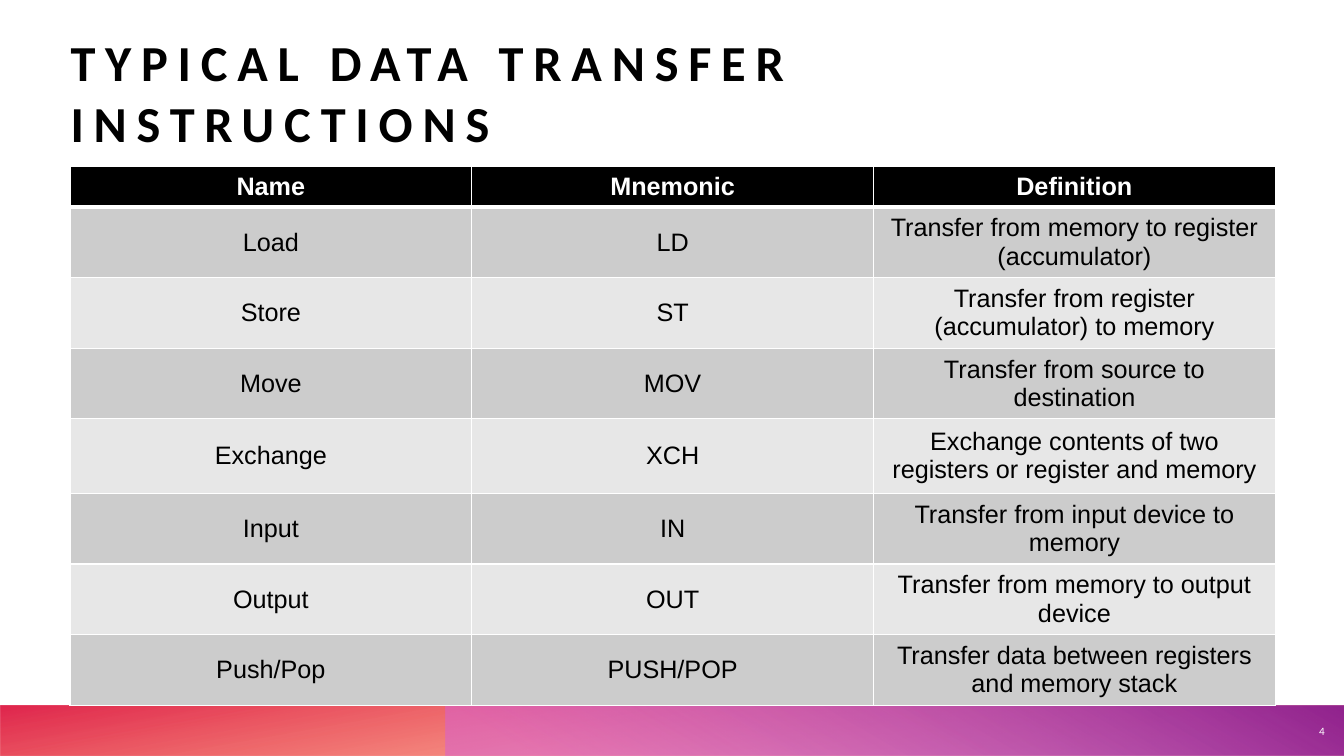
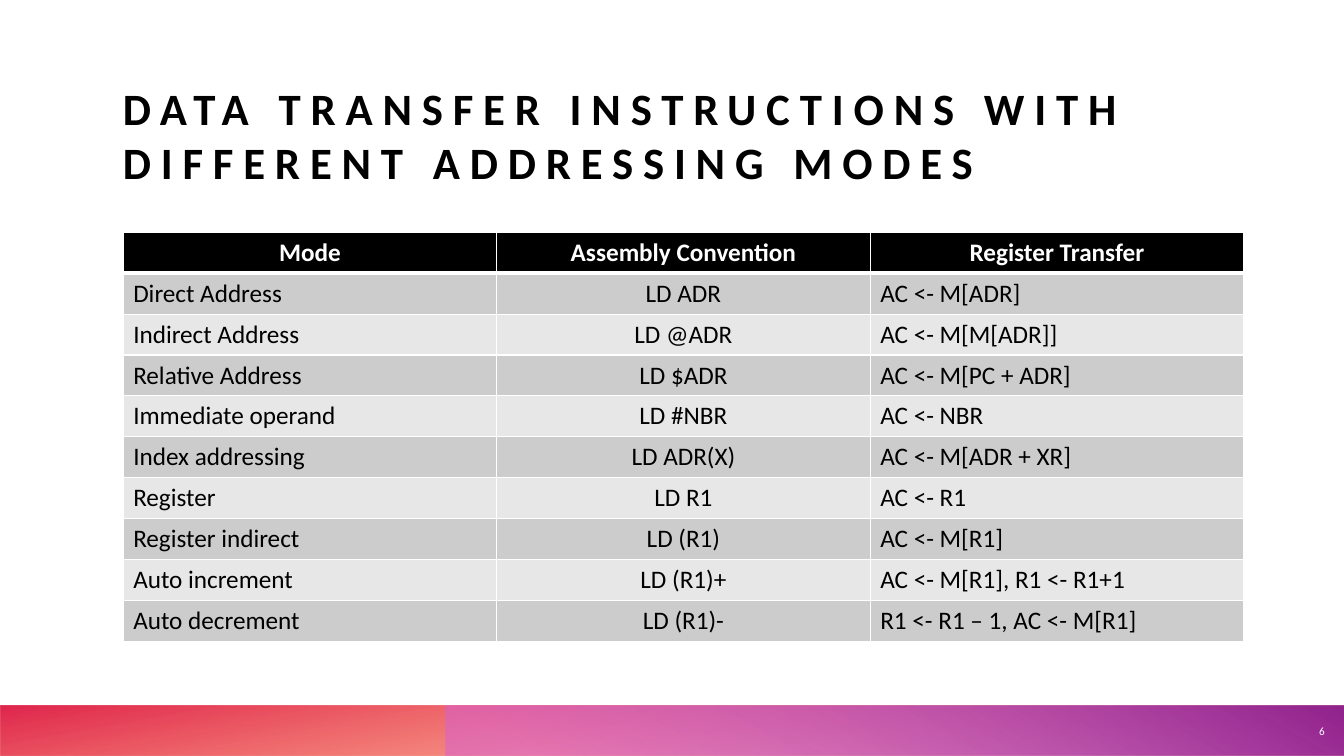
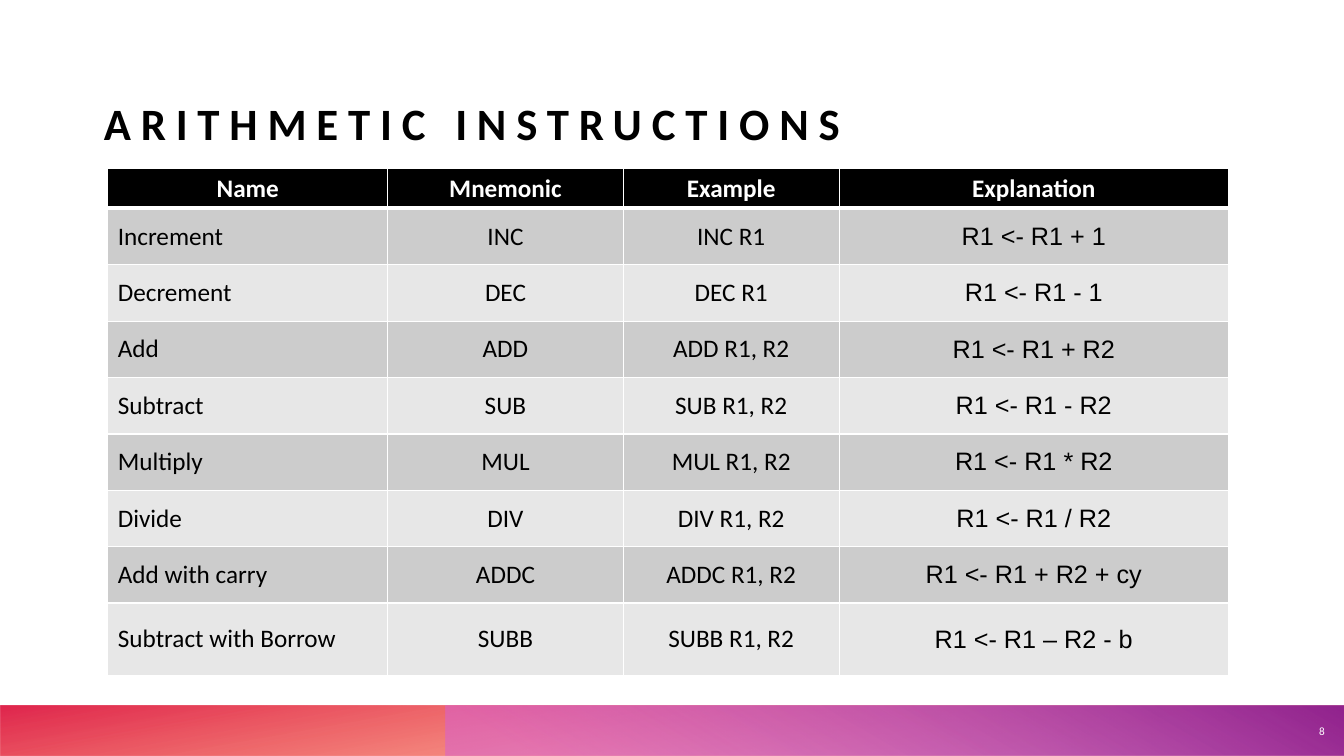
from dataclasses import dataclass

from lxml.etree import SubElement
from pptx import Presentation
from pptx.dml.color import RGBColor
from pptx.enum.shapes import MSO_SHAPE
from pptx.enum.text import MSO_ANCHOR, PP_ALIGN
from pptx.oxml.ns import qn
from pptx.util import Pt

WIDTH, HEIGHT = 960, 540
BAND_TOP, BAND_HEIGHT = 504, 36
BLACK, WHITE = "000000", "FFFFFF"
ROW_FILLS = ("CCCCCC", "E7E7E7")
HEADING_FONT, PLAIN_FONT = "Calibri", "Arial"


@dataclass
class TablePage:
    """Content and measures of one title-and-table slide."""
    number: int
    title: str
    title_box: tuple
    title_size: int
    table_corner: tuple
    columns: list
    heights: list
    rows: list
    header_font: str = HEADING_FONT
    left_columns: tuple = ()
    plain_columns: tuple = ()


def colour(code):
    """Turn a hex string into a colour."""
    return RGBColor.from_string(code)


def style_text(frame, size, code, font=HEADING_FONT, bold=False, align=PP_ALIGN.LEFT):
    """Format every paragraph and run of a text frame."""
    for para in frame.paragraphs:
        para.alignment = align
        for span in para.runs:
            span.font.size = Pt(size)
            span.font.name = font
            span.font.bold = bold
            span.font.color.rgb = colour(code)


def add_text(page, box, text, anchor):
    """Add a wrapping text box and return its frame."""
    frame = page.shapes.add_textbox(*map(Pt, box)).text_frame
    frame.word_wrap = True
    frame.vertical_anchor = anchor
    frame.text = text
    return frame


def add_band(page, box, angle, stops, rotation=0):
    """Add a mirrored gradient bar; stops are position, colour and opacity."""
    band = page.shapes.add_shape(MSO_SHAPE.RECTANGLE, *map(Pt, box))
    band.shadow.inherit = False
    band.line.fill.background()
    band.rotation = rotation
    band._element.spPr.find(qn("a:xfrm")).set("flipH", "1")
    band.fill.gradient()
    band.fill.gradient_angle = 360 - angle
    for stop, (position, code, _) in zip(band.fill.gradient_stops, stops):
        stop.position = position
        stop.color.rgb = colour(code)
    for node, (_, _, opacity) in zip(band._element.spPr.iter(qn("a:srgbClr")), stops):
        SubElement(node, qn("a:alpha"), val=str(opacity * 1000))


def add_footer(page, box, number):
    """Add the two gradient bars and the slide number."""
    left, top, width, height = box
    add_band(page, box, 100, [(0.14, "FE4A00", 28), (1, "DA002F", 85)], 180)
    add_band(page, (left + 318, top, width - 318, height), 240,
             [(0.09, "D861D4", 55), (0.99, "92248E", 100)])
    number_box = (left + width - 41.3, top + 0.7, 34.6, height - 0.7)
    frame = add_text(page, number_box, str(number), MSO_ANCHOR.MIDDLE)
    style_text(frame, 8, WHITE, align=PP_ALIGN.RIGHT)


def add_title(page, box, text, size):
    """Add a widely spaced bold title that sits on the bottom of its box."""
    frame = add_text(page, box, text, MSO_ANCHOR.BOTTOM)
    frame.margin_left = frame.margin_right = frame.margin_top = frame.margin_bottom = 0
    style_text(frame, size, BLACK, bold=True)
    frame.paragraphs[0].runs[0].font._element.set("spc", "700")


def add_borders(cell, top, bottom):
    """Draw white cell borders with the given top and bottom widths."""
    for side, width in (("L", 1), ("R", 1), ("T", top), ("B", bottom)):
        line = SubElement(cell._tc.get_or_add_tcPr(), qn(f"a:ln{side}"), w=str(Pt(width)))
        SubElement(SubElement(line, qn("a:solidFill")), qn("a:srgbClr"), val=WHITE)


def add_grid(page, content):
    """Add the table with a black header and alternating grey rows."""
    table = page.shapes.add_table(
        len(content.rows), len(content.columns), *map(Pt, content.table_corner),
        Pt(sum(content.columns)), Pt(sum(content.heights))).table
    for column, width in zip(table.columns, content.columns):
        column.width = Pt(width)
    for row, height in zip(table.rows, content.heights):
        row.height = Pt(height)
    for y, texts in enumerate(content.rows):
        header = y == 0
        for x, text in enumerate(texts):
            cell = table.cell(y, x)
            add_borders(cell, 3 if y == 1 else 1, 3 if header else 1)
            cell.fill.solid()
            cell.fill.fore_color.rgb = colour(BLACK if header else ROW_FILLS[(y - 1) % 2])
            cell.vertical_anchor = MSO_ANCHOR.MIDDLE
            cell.text_frame.text = text
            font = PLAIN_FONT if x in content.plain_columns else HEADING_FONT
            left = x in content.left_columns and not header
            style_text(cell.text_frame, 18, WHITE if header else BLACK,
                       content.header_font if header else font, header,
                       PP_ALIGN.LEFT if left else PP_ALIGN.CENTER)


def add_table_page(deck, content):
    """Add one slide with footer, title and table."""
    page = deck.slides.add_slide(deck.slide_layouts[6])
    add_footer(page, (0, BAND_TOP, WIDTH, BAND_HEIGHT), content.number)
    add_title(page, content.title_box, content.title, content.title_size)
    add_grid(page, content)


PAGES = [
    TablePage(
        4, "TYPICAL DATA TRANSFER INSTRUCTIONS", (50.4, 11.5, 806.4, 97.2), 36,
        (50, 119), [287] * 3, [28.8, 50.4, 37.4, 37.4, 53.3, 50.4, 50.4, 50.4],
        [
            ("Name", "Mnemonic", "Definition"),
            ("Load", "LD", "Transfer from memory to register (accumulator)"),
            ("Store", "ST", "Transfer from register (accumulator) to memory"),
            ("Move", "MOV", "Transfer from source to destination"),
            ("Exchange", "XCH", "Exchange contents of two registers or register and memory"),
            ("Input", "IN", "Transfer from input device to memory"),
            ("Output", "OUT", "Transfer from memory to output device"),
            ("Push/Pop", "PUSH/POP", "Transfer data between registers and memory stack"),
        ],
        header_font=PLAIN_FONT, plain_columns=(0, 1, 2)),
    TablePage(
        6, "DATA TRANSFER INSTRUCTIONS WITH DIFFERENT ADDRESSING MODES",
        (87.8, 37.4, 806.4, 97.2), 32, (88, 166), [266.8] * 3, [29.2] * 10,
        [
            ("Mode", "Assembly Convention", "Register Transfer"),
            ("Direct Address", "LD ADR", "AC <- M[ADR]"),
            ("Indirect Address", "LD @ADR", "AC <- M[M[ADR]]"),
            ("Relative Address", "LD $ADR", "AC <- M[PC + ADR]"),
            ("Immediate operand", "LD #NBR", "AC <- NBR"),
            ("Index addressing", "LD ADR(X)", "AC <- M[ADR + XR]"),
            ("Register", "LD R1", "AC <- R1"),
            ("Register indirect", "LD (R1)", "AC <- M[R1]"),
            ("Auto increment", "LD (R1)+", "AC <- M[R1], R1 <- R1+1"),
            ("Auto decrement", "LD (R1)-", "R1 <- R1 – 1, AC <- M[R1]"),
        ],
        left_columns=(0, 2)),
    TablePage(
        8, "ARITHMETIC INSTRUCTIONS", (74.2, 9.4, 806.4, 97.2), 32,
        (77, 120), [200, 168.2, 154.3, 278], [23] + [40.3] * 7 + [51.8],
        [
            ("Name", "Mnemonic", "Example", "Explanation"),
            ("Increment", "INC", "INC R1", "R1 <- R1 + 1"),
            ("Decrement", "DEC", "DEC R1", "R1 <- R1 - 1"),
            ("Add", "ADD", "ADD R1, R2", "R1 <- R1 + R2"),
            ("Subtract", "SUB", "SUB R1, R2", "R1 <- R1 - R2"),
            ("Multiply", "MUL", "MUL R1, R2", "R1 <- R1 * R2"),
            ("Divide", "DIV", "DIV R1, R2", "R1 <- R1 / R2"),
            ("Add with carry", "ADDC", "ADDC R1, R2", "R1 <- R1 + R2 + cy"),
            ("Subtract with Borrow", "SUBB", "SUBB R1, R2", "R1 <- R1 – R2 - b"),
        ],
        left_columns=(0,), plain_columns=(3,)),
]


def main():
    """Build the deck and save it."""
    deck = Presentation()
    deck.slide_width, deck.slide_height = Pt(WIDTH), Pt(HEIGHT)
    for content in PAGES:
        add_table_page(deck, content)
    deck.save("out.pptx")


if __name__ == "__main__":
    main()
